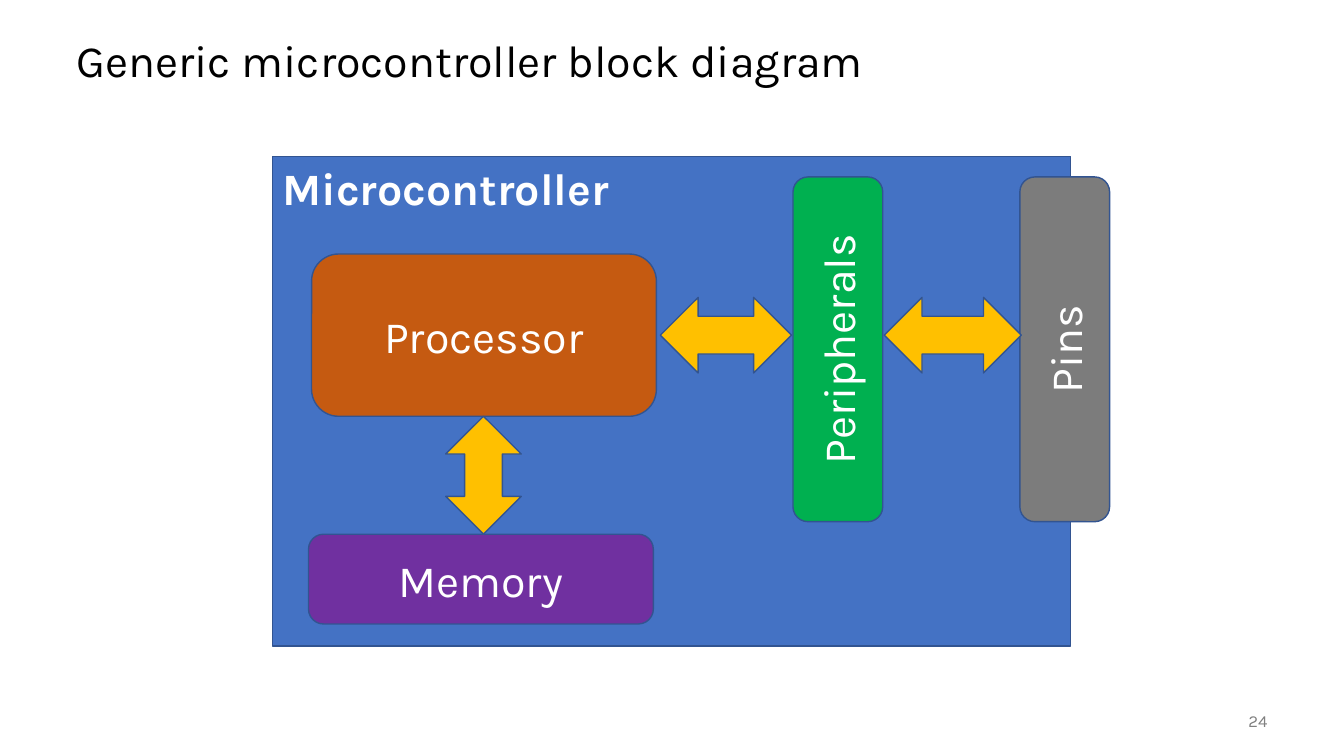
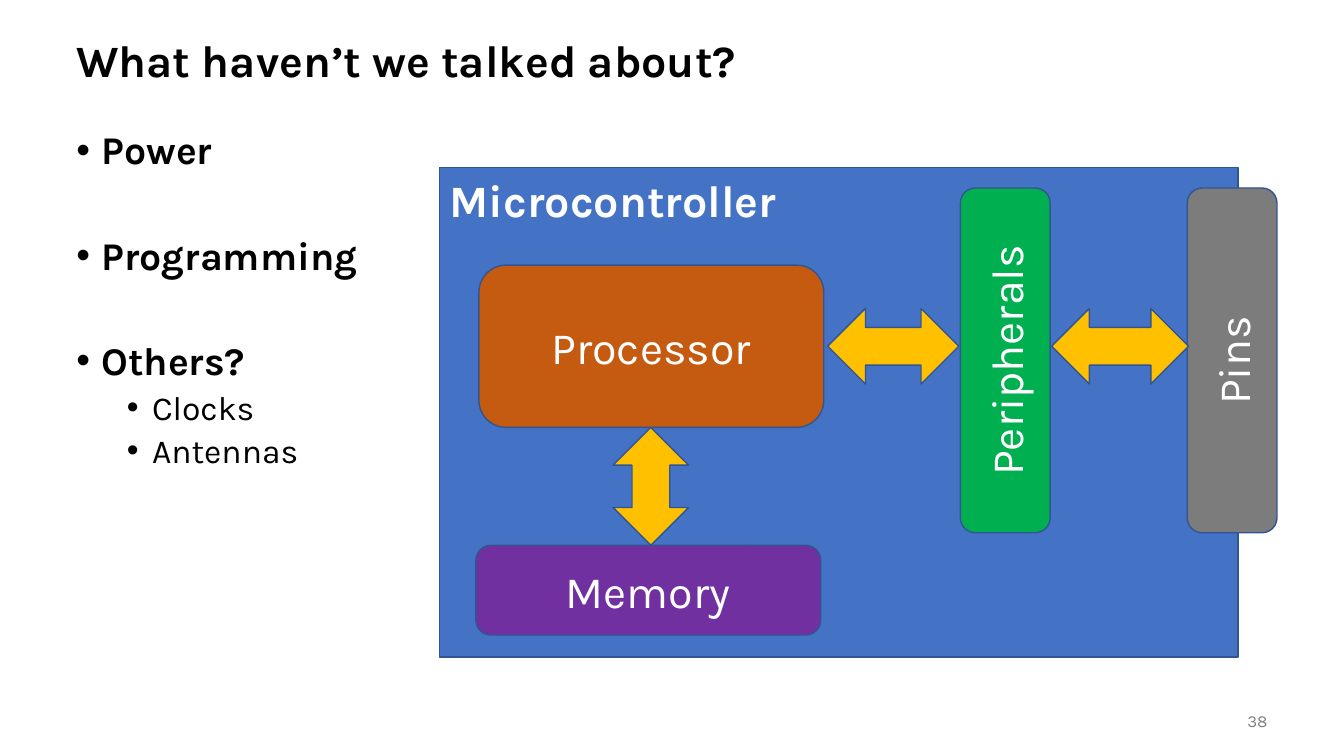
from lxml.etree import SubElement
from pptx import Presentation
from pptx.dml.color import RGBColor
from pptx.enum.shapes import MSO_SHAPE as Shape
from pptx.enum.text import MSO_ANCHOR as Anchor, PP_ALIGN as Align
from pptx.oxml.ns import qn
from pptx.util import Inches, Pt


def color(value):
    return RGBColor.from_string(value)


class LectureDeck:
    """Holds the lecture style and draws elements on the current slide."""

    FONT = "Karla"
    BLACK, WHITE, GRAY = "000000", "FFFFFF", "808080"
    BOARD, OUTLINE, ARROW = "4472C4", "325491", "FFC000"
    ORANGE, PURPLE, GREEN, PIN_GRAY = "C55A11", "7030A0", "00B050", "7C7C7C"

    def __init__(self):
        self.deck = Presentation()
        self.deck.slide_width = Inches(13.33)
        self.deck.slide_height = Inches(7.5)
        self.page = None

    def new_slide(self, title, number, bold=False):
        self.page = self.deck.slides.add_slide(self.deck.slide_layouts[6])
        frame = self.text_box(0.66, 0.25, 12, 0.75, Anchor.MIDDLE)
        para = self.set_text(frame.paragraphs[0], title, 32, self.BLACK, bold)
        para.line_spacing = 0.9
        frame = self.text_box(11.67, 6.95, 1, 0.4, Anchor.MIDDLE)
        para = self.set_text(frame.paragraphs[0], str(number), 12, self.GRAY)
        para.alignment = Align.RIGHT

    def text_box(self, left, top, width, height, anchor=Anchor.TOP):
        box = self.page.shapes.add_textbox(
            Inches(left), Inches(top), Inches(width), Inches(height))
        frame = box.text_frame
        frame.word_wrap = True
        frame.vertical_anchor = anchor
        return frame

    def set_text(self, para, text, size, text_color, bold=False):
        para.text = text
        font = para.font
        font.name, font.size, font.bold = self.FONT, Pt(size), bold
        font.color.rgb = color(text_color)
        return para

    def bullets(self, left, top, width, height, items):
        frame = self.text_box(left, top, width, height)
        for index, (text, level) in enumerate(items):
            para = frame.add_paragraph() if index else frame.paragraphs[0]
            para.level = level
            para.line_spacing = 0.9
            if index:
                para.space_before = Pt(5 if level else 45)
            properties = para._p.get_or_add_pPr()
            properties.set("marL", str(Inches(0.25 + 0.5 * level)))
            properties.set("indent", str(Inches(-0.25)))
            SubElement(properties, qn("a:buFont"), typeface="Arial")
            SubElement(properties, qn("a:buChar"), char="•")
            self.set_text(para, text, 24 if level else 28, self.BLACK, level == 0)

    def shape(self, kind, left, top, width, height, fill, rotation=0):
        shape = self.page.shapes.add_shape(
            kind, Inches(left), Inches(top), Inches(width), Inches(height))
        shape.rotation = rotation
        shape.shadow.inherit = False
        shape.fill.solid()
        shape.fill.fore_color.rgb = color(fill)
        shape.line.color.rgb = color(self.OUTLINE)
        shape.line.width = Pt(1)
        return shape

    def block(self, text, left, top, height, fill, rotation=0):
        block = self.shape(
            Shape.ROUNDED_RECTANGLE, left, top, 3.42, height, fill, rotation)
        para = block.text_frame.paragraphs[0]
        self.set_text(para, text, 32, self.WHITE).alignment = Align.CENTER

    def arrow(self, left, top, width, rotation=0):
        self.shape(
            Shape.LEFT_RIGHT_ARROW, left, top, width, 0.75, self.ARROW, rotation)

    def microcontroller(self, left, top):
        board = self.shape(Shape.RECTANGLE, left, top, 7.92, 4.86, self.BOARD)
        frame = board.text_frame
        frame.vertical_anchor = Anchor.TOP
        para = frame.paragraphs[0]
        self.set_text(para, "Microcontroller", 32, self.WHITE, True)
        para.alignment = Align.LEFT
        for text, across, down, height, fill, rotation in (
            ("Processor", 0.39, 0.97, 1.61, self.ORANGE, 0),
            ("Memory", 0.36, 3.75, 0.89, self.PURPLE, 0),
            ("Peripherals", 3.9, 1.47, 0.89, self.GREEN, 270),
            ("Pins", 6.15, 1.47, 0.89, self.PIN_GRAY, 270),
        ):
            self.block(text, left + across, top + down, height, fill, rotation)
        for across, down, width, rotation in (
            (3.85, 1.4, 1.3, 0),
            (6.07, 1.4, 1.36, 0),
            (1.51, 2.79, 1.17, 90),
        ):
            self.arrow(left + across, top + down, width, rotation)


def main():
    lecture = LectureDeck()

    lecture.new_slide("Generic microcontroller block diagram", 24)
    lecture.microcontroller(2.7, 1.55)

    lecture.new_slide("What haven’t we talked about?", 38, bold=True)
    lecture.bullets(0.66, 1.25, 3.56, 5.5, (
        ("Power", 0),
        ("Programming", 0),
        ("Others?", 0),
        ("Clocks", 1),
        ("Antennas", 1),
    ))
    lecture.microcontroller(4.36, 1.66)

    lecture.deck.save("out.pptx")


if __name__ == "__main__":
    main()
